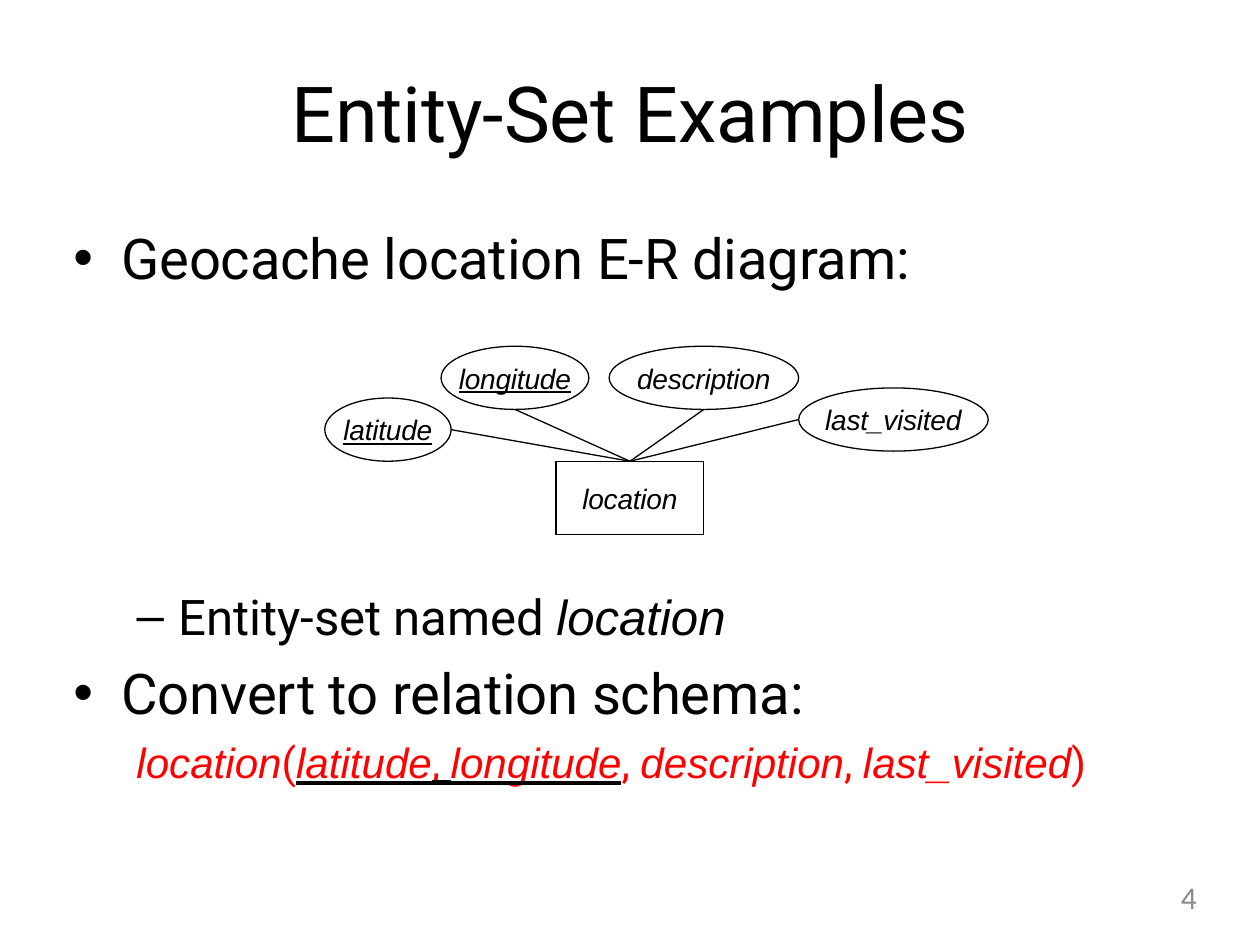
from dataclasses import dataclass

from lxml.etree import SubElement
from pptx import Presentation
from pptx.dml.color import RGBColor
from pptx.enum.shapes import MSO_CONNECTOR, MSO_SHAPE
from pptx.enum.text import MSO_ANCHOR, MSO_UNDERLINE, PP_ALIGN
from pptx.oxml import parse_xml
from pptx.oxml.ns import nsdecls, qn
from pptx.util import Inches, Pt


@dataclass(frozen=True)
class Theme:
    ink: RGBColor = RGBColor(0, 0, 0)
    schema: RGBColor = RGBColor(0xFF, 0, 0)
    muted: RGBColor = RGBColor(0x8C, 0x8C, 0x8C)
    heading_font: str = "Roboto"
    term_font: str = "Arial"
    number_font: str = "Calibri"
    title: int = 44
    bullet: int = 32
    sub_bullet: int = 28
    relation: int = 24
    number: int = 18
    label: int = 16
    outline: float = 0.75


THEME = Theme()


@dataclass(frozen=True)
class Piece:
    text: str
    size: int
    term: bool = False
    color: RGBColor = THEME.ink
    font: str = THEME.heading_font
    underline: MSO_UNDERLINE | None = None
    spacing: int = 0


@dataclass(frozen=True)
class Line:
    pieces: list[Piece]
    bullet: str = ""
    margin: float = 0
    indent: float = 0
    before: float = 0
    align: PP_ALIGN = PP_ALIGN.LEFT


@dataclass(frozen=True)
class Attribute:
    name: str
    left: float
    top: float
    width: float
    link: tuple[float, float]  # line start, as a share of width and height
    key: bool = False


ATTRIBUTE_HEIGHT = 0.5
ATTRIBUTES = [
    Attribute("latitude", 2.57, 3.15, 1, (1, 0.5), key=True),
    Attribute("longitude", 3.49, 2.74, 1.17, (0.5, 1), key=True),
    Attribute("description", 4.82, 2.74, 1.5, (0.5, 1)),
    Attribute("last_visited", 6.32, 3.07, 1.5, (0, 0.5)),
]


def fill_text(frame, lines: list[Line], anchor=MSO_ANCHOR.TOP, wrap=True) -> None:
    settings = {"margin_left": 0, "margin_right": 0, "margin_top": 0, "margin_bottom": 0,
                "vertical_anchor": anchor, "word_wrap": wrap}
    for name, value in settings.items():
        setattr(frame, name, value)
    for index, line in enumerate(lines):
        paragraph = frame.paragraphs[0] if index == 0 else frame.add_paragraph()
        properties = paragraph._p.get_or_add_pPr()
        properties.set("marL", str(Inches(line.margin)))
        properties.set("indent", str(Inches(line.indent)))
        if line.bullet:
            SubElement(properties, qn("a:buFont"), typeface=THEME.term_font)
            SubElement(properties, qn("a:buChar"), char=line.bullet)
        paragraph.alignment = line.align
        if line.before:
            paragraph.space_before = Pt(line.before)
        for piece in line.pieces:
            add_piece(paragraph, piece)


def add_piece(paragraph, piece: Piece) -> None:
    run = paragraph.add_run()
    run.text = piece.text
    formats = {"size": Pt(piece.size), "italic": piece.term, "underline": piece.underline,
               "name": THEME.term_font if piece.term else piece.font}
    for name, value in formats.items():
        setattr(run.font, name, value)
    run.font.color.rgb = piece.color
    properties = run._r.get_or_add_rPr()
    if piece.spacing:
        properties.set("spc", str(piece.spacing))
    if piece.underline == MSO_UNDERLINE.HEAVY_LINE:
        # Key underline keeps the ink colour under red text
        properties.find(qn("a:latin")).addprevious(parse_xml(
            f'<a:uFill {nsdecls("a")}><a:solidFill><a:srgbClr val="{THEME.ink}"/>'
            "</a:solidFill></a:uFill>"))


def add_text(slide, left: float, top: float, width: float, height: float,
             lines: list[Line]) -> None:
    box = slide.shapes.add_textbox(*map(Inches, (left, top, width, height)))
    fill_text(box.text_frame, lines)


def add_node(slide, kind: MSO_SHAPE, name: str, left: float, top: float,
             width: float, height: float, key: bool = False):
    node = slide.shapes.add_shape(kind, *map(Inches, (left, top, width, height)))
    node.shadow.inherit = False
    node.fill.background()
    node.line.color.rgb = THEME.ink
    node.line.width = Pt(THEME.outline)
    label = Piece(name, THEME.label, term=True, spacing=-10,
                  underline=MSO_UNDERLINE.SINGLE_LINE if key else None)
    fill_text(node.text_frame, [Line([label], align=PP_ALIGN.CENTER)],
              MSO_ANCHOR.MIDDLE, wrap=False)
    return node


def add_link(slide, attribute: Attribute, entity) -> None:
    across, down = attribute.link
    x = Inches(attribute.left + across * attribute.width)
    y = Inches(attribute.top + down * ATTRIBUTE_HEIGHT)
    link = slide.shapes.add_connector(MSO_CONNECTOR.STRAIGHT, x, y, x, y)
    link.end_connect(entity, 0)
    link.line.color.rgb = THEME.ink
    link.line.width = Pt(THEME.outline)
    SubElement(link._element.spPr, qn("a:effectLst"))


def relation_piece(text: str, term: bool = False, key: bool = False) -> Piece:
    return Piece(text, THEME.relation, term, THEME.schema,
                 underline=MSO_UNDERLINE.HEAVY_LINE if key else None)


def bullet_line(text: str, before: float = 0) -> Line:
    return Line([Piece(text, THEME.bullet, spacing=-10)], "•", 0.39, -0.38, before)


def main() -> None:
    deck = Presentation()
    deck.slide_width, deck.slide_height = Inches(9.97), Inches(7.47)
    slide = deck.slides.add_slide(deck.slide_layouts[6])

    # Title and first bullet
    title = Piece("Entity-Set Examples", THEME.title, spacing=-10)
    add_text(slide, 2.22, 0.52, 5.53, 0.76, [Line([title], align=PP_ALIGN.CENTER)])
    add_text(slide, 0.57, 1.77, 6.82, 0.56, [bullet_line("Geocache location E-R diagram:")])

    # E-R diagram
    entity = add_node(slide, MSO_SHAPE.RECTANGLE, "location", 4.4, 3.65, 1.17, 0.58)
    for attribute in ATTRIBUTES:
        add_node(slide, MSO_SHAPE.OVAL, attribute.name, attribute.left, attribute.top,
                 attribute.width, ATTRIBUTE_HEIGHT, attribute.key)
        add_link(slide, attribute, entity)

    # Entity-set name and relation schema
    entity_set = [Piece("Entity-set named ", THEME.sub_bullet),
                  Piece("location", THEME.sub_bullet, term=True)]
    relation = [relation_piece("location", term=True), relation_piece("(")]
    for index, attribute in enumerate(ATTRIBUTES):
        if index:
            relation.append(relation_piece(", ", key=attribute.key))
        relation.append(relation_piece(attribute.name, term=True, key=attribute.key))
    relation.append(relation_piece(")"))
    add_text(slide, 0.57, 4.64, 8.91, 1.6, [
        Line(entity_set, "–", 0.84, -0.33),
        bullet_line("Convert to relation schema:", before=7.5),
        Line(relation, margin=0.51, before=5.8),
    ])

    # Slide number
    number = Piece("4", THEME.number, color=THEME.muted, font=THEME.number_font)
    add_text(slide, 7.18, 6.95, 2.29, 0.37, [Line([number], align=PP_ALIGN.RIGHT)])

    deck.save("out.pptx")


if __name__ == "__main__":
    main()
